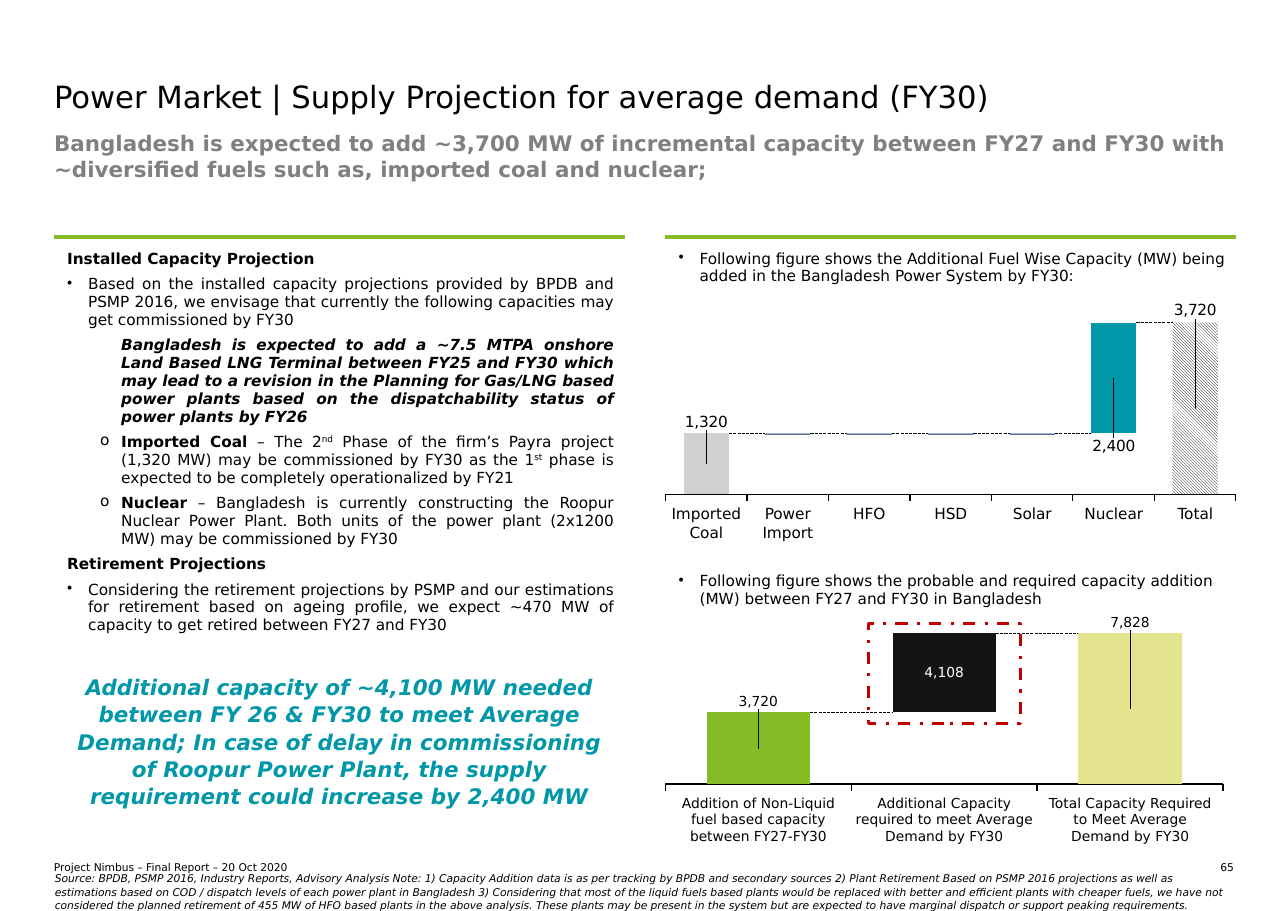
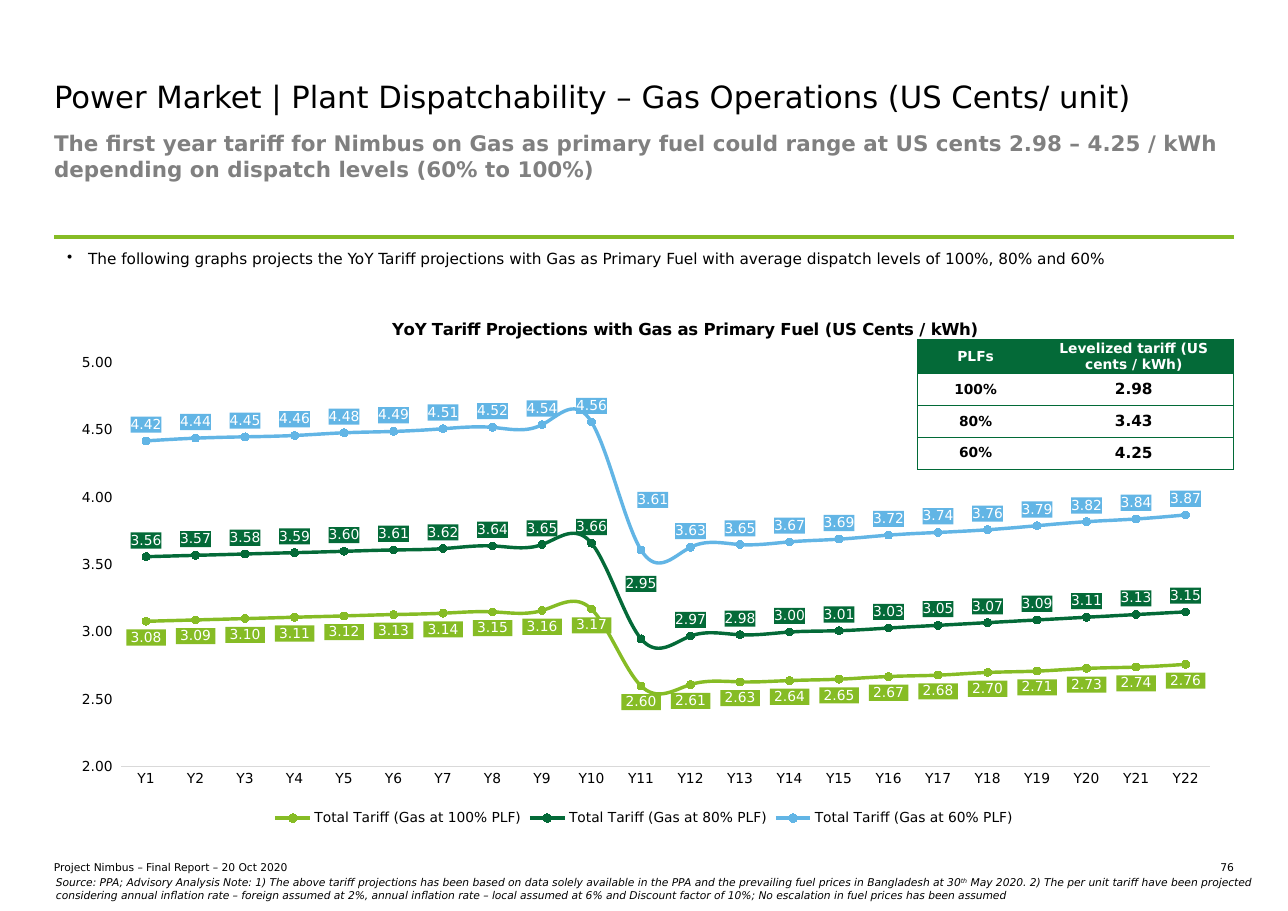
from dataclasses import dataclass
from typing import Any, NamedTuple, Optional

from lxml.etree import SubElement
from pptx import Presentation
from pptx.chart.data import CategoryChartData
from pptx.dml.color import RGBColor
from pptx.enum.chart import (XL_CHART_TYPE, XL_LABEL_POSITION, XL_LEGEND_POSITION,
                             XL_MARKER_STYLE, XL_TICK_LABEL_POSITION, XL_TICK_MARK)
from pptx.enum.dml import MSO_LINE, MSO_PATTERN
from pptx.enum.shapes import MSO_CONNECTOR, MSO_SHAPE
from pptx.enum.text import MSO_ANCHOR, MSO_AUTO_SIZE, PP_ALIGN
from pptx.oxml import parse_xml
from pptx.oxml.ns import nsdecls, qn
from pptx.util import Inches, Pt

# Shared look and grid (inches)
FONT = "DejaVu Sans"
BLACK, WHITE, GREY = "000000", "FFFFFF", "808080"
LIME, GREEN, SKY, TEAL = "86BC25", "046A38", "62B5E5", "0097A9"
LEFT, WIDTH, HALF, GUTTER = 0.49, 10.71, 5.18, 0.37
RIGHT = LEFT + HALF + GUTTER
PANEL_TOP, PANEL_HEIGHT = 2.15, 5.95
TARIFF_FORMAT = '_(* #,##0.00_);_(* \\(#,##0.00\\);_(* "-"??_);_(@_)'
CENTER, JUSTIFY = PP_ALIGN.CENTER, PP_ALIGN.JUSTIFY


class Run(NamedTuple):
    text: str
    bold: bool = False
    italic: bool = False
    raised: bool = False


@dataclass
class Para:
    runs: list[Run]
    align: PP_ALIGN = PP_ALIGN.LEFT
    margin: float = 0
    bullet: str = ""
    before: float = 0
    after: float = 0
    spacing: Optional[float] = None


@dataclass
class Waterfall:
    box: tuple[float, float, float, float]
    plot: tuple[float, float, float, float]
    series: list[tuple]
    top: int
    fills: dict[int, str]
    step_color: str
    labels: list[tuple[int, int, float, str]]  # series, point, vertical shift, colour
    names: list[tuple[str, float]]             # text and width
    links: list[int]
    size: int

    def pitch(self) -> float:
        return self.box[2] * self.plot[2] / len(self.names)

    def middle(self, column: int) -> float:
        return self.box[0] + self.box[2] * self.plot[0] + self.pitch() * (column + 0.5)

    def level(self, value: float) -> float:
        return self.box[1] + self.box[3] * (self.plot[1] + self.plot[3] * (1 - value / self.top))


def rgb(color: str) -> RGBColor:
    return RGBColor.from_string(color)


def apply(target: Any, **values: Any) -> None:
    for name, value in values.items():
        setattr(target, name, value)


def style_font(font: Any, size: float, color: str, bold: bool = False, italic: bool = False) -> None:
    apply(font, name=FONT, size=Pt(size), bold=bold, italic=italic)
    font.color.rgb = rgb(color)


def margins(target: Any, left: float, top: float, right: float, bottom: float) -> None:
    apply(target, margin_left=Inches(left), margin_top=Inches(top),
          margin_right=Inches(right), margin_bottom=Inches(bottom))


# Text
def write(frame: Any, paras: list[Para], size: float, color: str = BLACK) -> None:
    for index, para in enumerate(paras):
        line = frame.add_paragraph() if index else frame.paragraphs[0]
        props = line._p.get_or_add_pPr()
        props.set("marL", str(Inches(para.margin)))
        props.set("indent", str(Inches(-0.19 if para.bullet else 0)))
        if para.bullet:
            SubElement(props, qn("a:buChar")).set("char", para.bullet)
        else:
            SubElement(props, qn("a:buNone"))
        apply(line, alignment=para.align, space_before=Pt(para.before), space_after=Pt(para.after))
        if para.spacing:
            line.line_spacing = para.spacing
        for part in para.runs:
            run = line.add_run()
            run.text = part.text
            style_font(run.font, size, color, part.bold, part.italic)
            if part.raised:
                run._r.get_or_add_rPr().set("baseline", "30000")


def text_box(slide: Any, box: tuple, paras: list[Para], size: float, color: str = BLACK,
             inset: float = 0, anchor: MSO_ANCHOR = MSO_ANCHOR.TOP) -> None:
    frame = slide.shapes.add_textbox(*map(Inches, box)).text_frame
    apply(frame, word_wrap=True, auto_size=MSO_AUTO_SIZE.NONE, vertical_anchor=anchor)
    margins(frame, *[inset] * 4)
    write(frame, paras, size, color)


def framed_slide(deck: Any, title: str, message: str, page: str) -> Any:
    """Title, message, footer and page number."""
    slide = deck.slides.add_slide(deck.slide_layouts[5])
    head = slide.shapes.title
    apply(head, left=Inches(LEFT), top=Inches(0.71), width=Inches(WIDTH), height=Inches(0.47))
    apply(head.text_frame, word_wrap=True, auto_size=MSO_AUTO_SIZE.NONE, vertical_anchor=MSO_ANCHOR.TOP)
    margins(head.text_frame, 0, 0, 0, 0)
    write(head.text_frame, [Para([Run(title)])], 20)
    text_box(slide, (LEFT, 1.18, WIDTH, 0.57), [Para([Run(message, True)])], 14, GREY)
    text_box(slide, (LEFT, 7.81, 4.83, 0.12), [Para([Run("Project Nimbus – Final Report – 20 Oct 2020")])],
             7, anchor=MSO_ANCHOR.BOTTOM)
    text_box(slide, (10.75, 7.81, 0.45, 0.12), [Para([Run(page)], PP_ALIGN.RIGHT)], 7)
    return slide


# Tables
def borders(cell: Any, **edges: tuple[Optional[str], float]) -> None:
    props = cell._tc.get_or_add_tcPr()
    for side in "LRTB":
        color, width = edges.get(side, (None, 1))
        edge = SubElement(props, qn(f"a:ln{side}"))
        edge.set("w", str(Pt(width)))
        if color:
            SubElement(SubElement(edge, qn("a:solidFill")), qn("a:srgbClr")).set("val", color)
        else:
            SubElement(edge, qn("a:noFill"))


def plain_table(slide: Any, box: tuple, rows: int, columns: int) -> Any:
    table = slide.shapes.add_table(rows, columns, *map(Inches, box)).table
    apply(table, first_row=False, horz_banding=False)
    return table


def panel(slide: Any, left: float, width: float, paras: list[Para]) -> None:
    cell = plain_table(slide, (left, PANEL_TOP, width, PANEL_HEIGHT), 1, 1).cell(0, 0)
    borders(cell, T=(LIME, 3))
    cell.fill.background()
    margins(cell, 0.12, 0.12, 0.1, 0.05)
    write(cell.text_frame, paras, 10)


def tariff_table(slide: Any, rows: list[tuple[str, str]]) -> None:
    widths, heights = (1.05, 1.82), (0.31, 0.29, 0.29, 0.29)
    table = plain_table(slide, (8.33, 3.08, sum(widths), sum(heights)), len(rows), 2)
    for column, width in zip(table.columns, widths):
        column.width = Inches(width)
    edge = ("016A37", 0.75)
    for r, row in enumerate(rows):
        table.rows[r].height = Inches(heights[r])
        for c, text in enumerate(row):
            cell = table.cell(r, c)
            borders(cell, T=edge, B=edge, **{"LR"[c]: edge})
            cell.fill.solid()
            cell.fill.fore_color.rgb = rgb(WHITE if r else GREEN)
            margins(cell, 0.04, 0, 0.04, 0)
            cell.vertical_anchor = MSO_ANCHOR.MIDDLE
            write(cell.text_frame, [Para([Run(text, True)], CENTER)], 10 if r and c else 9,
                  BLACK if r else WHITE)


# Charts
def manual_layout(modes: str = "", **shares: float) -> Any:
    parts = "".join(f'<c:{m}Mode val="edge"/>' for m in "xy") if modes else ""
    target = '<c:layoutTarget val="inner"/>' if modes == "inner" else ""
    parts += "".join(f'<c:{name} val="{value}"/>' for name, value in shares.items())
    return parse_xml(f'<c:layout {nsdecls("c")}><c:manualLayout>{target}{parts}</c:manualLayout></c:layout>')


def set_plot(chart: Any, plot: tuple) -> None:
    area = chart._chartSpace.chart.plotArea
    for old in area.findall(qn("c:layout")):
        area.remove(old)
    area.insert(0, manual_layout("inner", **dict(zip("xywh", plot))))


def label_fill(color: str) -> Any:
    return parse_xml(f'<c:spPr {nsdecls("c", "a")}><a:solidFill><a:srgbClr val="{color}"/></a:solidFill></c:spPr>')


def leader_lines(series: Any, shown: bool) -> None:
    labels = series.data_labels._element
    flag = labels.find(qn("c:showLeaderLines"))
    if flag is None:
        flag = SubElement(labels, qn("c:showLeaderLines"))
    flag.set("val", str(int(shown)))


def place_label(point: Any, x: float, y: float, size: float, color: str, code: str,
                position: XL_LABEL_POSITION, fill: str = "") -> None:
    label = point.data_label
    style_font(label.font, size, color)
    label.position = position
    item = label._get_or_add_dLbl()
    if x or y:
        item.insert(1, manual_layout(x=x, y=y))
    properties = item.find(qn("c:txPr"))
    properties.addprevious(parse_xml(f'<c:numFmt {nsdecls("c")} formatCode="{code}" sourceLinked="0"/>'))
    if fill:
        properties.addprevious(label_fill(fill))


def new_chart(slide: Any, kind: XL_CHART_TYPE, box: tuple, names: list, series: list, size: float) -> Any:
    data = CategoryChartData()
    data.categories = names
    for name, values in series:
        data.add_series(name, values)
    chart = slide.shapes.add_chart(kind, *map(Inches, box), data).chart
    style_font(chart.font, size, BLACK)
    chart.has_legend = chart.has_title = False
    chart.value_axis.has_major_gridlines = False
    return chart


def paint(fill: Any, color: str) -> None:
    if color == "hatch":
        fill.patterned()
        fill.pattern = MSO_PATTERN.LIGHT_DOWNWARD_DIAGONAL
        fill.fore_color.rgb, fill.back_color.rgb = rgb(BLACK), rgb(WHITE)
    else:
        fill.solid()
        fill.fore_color.rgb = rgb(color)


def line(slide: Any, start: tuple, end: tuple, width: float, dash: Any = None) -> None:
    link = slide.shapes.add_connector(MSO_CONNECTOR.STRAIGHT, *map(Inches, start + end))
    link.line.color.rgb = rgb(BLACK)
    apply(link.line, width=Pt(width), dash_style=dash)
    SubElement(link._element.spPr, qn("a:effectLst"))


def rectangle(slide: Any, box: tuple) -> Any:
    shape = slide.shapes.add_shape(MSO_SHAPE.RECTANGLE, *map(Inches, box))
    shape.shadow.inherit = False
    return shape


def draw_waterfall(slide: Any, fall: Waterfall) -> None:
    bar = fall.pitch() / 1.8
    for i, value in enumerate(fall.links):
        y = fall.level(value)
        line(slide, (fall.middle(i) + bar / 2, y), (fall.middle(i + 1) - bar / 2, y), 0.25, MSO_LINE.LONG_DASH)
    names = [str(i + 1) for i in range(len(fall.names))]
    chart = new_chart(slide, XL_CHART_TYPE.COLUMN_STACKED, fall.box, names, fall.series, fall.size)
    set_plot(chart, fall.plot)
    apply(chart.plots[0], gap_width=80, overlap=100, vary_by_categories=False)
    apply(chart.value_axis, visible=False, minimum_scale=0, maximum_scale=fall.top)
    apply(chart.category_axis, tick_label_position=XL_TICK_LABEL_POSITION.NONE,
          major_tick_mark=XL_TICK_MARK.OUTSIDE)
    chart.category_axis.format.line.color.rgb = rgb(BLACK)
    chart.category_axis.format.line.width = Pt(0.75)
    base, step = chart.plots[0].series
    base.format.fill.background()
    paint(step.format.fill, fall.step_color)
    for index, color in fall.fills.items():
        paint(base.points[index].format.fill, color)
    for series in (base, step):
        series.data_labels.show_value = False
        leader_lines(series, True)
    for which, index, shift, color in fall.labels:
        place_label((base, step)[which].points[index], 0, shift, fall.size, color, "#,##0",
                    XL_LABEL_POSITION.CENTER)
    for i, (name, width) in enumerate(fall.names):
        text_box(slide, (fall.middle(i) - width / 2, fall.box[1] + fall.box[3], width, 0.45),
                 [Para([Run(name)], CENTER)], fall.size)


def draw_tariffs(slide: Any, title: str, series: list[tuple[str, list, str]]) -> None:
    years = [f"Y{i}" for i in range(1, 23)]
    chart = new_chart(slide, XL_CHART_TYPE.LINE_MARKERS, (LEFT, 2.72, WIDTH, 4.82), years,
                      [(name, values) for name, values, _ in series], 9)
    set_plot(chart, (0.057, 0.119, 0.923, 0.761))
    chart.chart_title.text_frame.text = title
    style_font(chart.chart_title.text_frame.paragraphs[0].runs[0].font, 10.8, BLACK, True)
    heading = chart.chart_title._element
    for old in heading.findall(qn("c:layout")):
        heading.remove(old)
    heading.find(qn("c:tx")).addnext(manual_layout("edge", x=0.284, y=0.03))
    chart.has_legend = True
    apply(chart.legend, position=XL_LEGEND_POSITION.BOTTOM, include_in_layout=False)
    style_font(chart.legend.font, 9, BLACK)
    apply(chart.value_axis, minimum_scale=2, maximum_scale=5, major_unit=0.5)
    apply(chart.value_axis.tick_labels, number_format=TARIFF_FORMAT, number_format_is_linked=False)
    for axis in (chart.value_axis, chart.category_axis):
        axis.major_tick_mark = XL_TICK_MARK.NONE
        style_font(axis.tick_labels.font, 9, BLACK)
    chart.value_axis.format.line.fill.background()
    chart.category_axis.format.line.color.rgb = rgb("D9D9D9")
    for i, (curve, (_, _, color)) in enumerate(zip(chart.plots[0].series, series)):
        curve.smooth = True
        curve.format.line.color.rgb = rgb(color)
        curve.format.line.width = Pt(2.25)
        apply(curve.marker, style=XL_MARKER_STYLE.CIRCLE, size=5)
        paint(curve.marker.format.fill, color)
        curve.marker.format.line.color.rgb = rgb(color)
        side = XL_LABEL_POSITION.ABOVE if i else XL_LABEL_POSITION.BELOW
        apply(curve.data_labels, show_value=True, position=side, number_format_is_linked=False,
              number_format="#,##0.00" if i else TARIFF_FORMAT)
        style_font(curve.data_labels.font, 9, WHITE)
        curve.data_labels._element.find(qn("c:txPr")).addprevious(label_fill(color))
        leader_lines(curve, False)
        if i:  # the drop in year 11 needs clear labels
            x, y = ((0, -0.073), (0.01, -0.064))[i - 1]
            place_label(curve.points[10], x, y, 9, WHITE, "#,##0.00", side, color)


def supply_slide(deck: Any) -> None:
    slide = framed_slide(
        deck, "Power Market | Supply Projection for average demand (FY30)",
        "Bangladesh is expected to add ~3,700 MW of incremental capacity between FY27 and FY30 with "
        "~diversified fuels such as, imported coal and nuclear;", "65")
    panel(slide, RIGHT, HALF, [
        Para([Run("Following figure shows the Additional Fuel Wise Capacity (MW) being added in the "
                  "Bangladesh Power System by FY30:")], margin=0.19, bullet="•", after=5),
        Para([Run("Following figure shows the probable and required capacity addition (MW) between FY27 "
                  "and FY30 in Bangladesh")], margin=0.19, bullet="•", before=182.5, after=5)])
    top = dict(align=JUSTIFY, after=5)
    item, sub = dict(top, margin=0.19, bullet="•"), dict(top, margin=0.49, bullet="o")
    panel(slide, LEFT, HALF, [
        Para([Run("Installed Capacity Projection", True)], **top),
        Para([Run("Based on the installed capacity projections provided by BPDB and PSMP 2016, we envisage "
                  "that currently the following capacities may get commissioned by FY30")], **item),
        Para([Run("Bangladesh is expected to add a ~7.5 MTPA onshore Land Based LNG Terminal between FY25 and "
                  "FY30 which may lead to a revision in the Planning for Gas/LNG based power plants based on "
                  "the dispatchability status of power plants by FY26", True, True)], margin=0.49, **top),
        Para([Run("Imported Coal ", True), Run("– The 2"), Run("nd", raised=True),
              Run(" Phase of the firm’s Payra project (1,320 MW) may be commissioned by FY30 as the 1"),
              Run("st", raised=True), Run(" phase is expected to be completely operationalized by FY21")], **sub),
        Para([Run("Nuclear", True), Run(" – Bangladesh is currently constructing the Roopur Nuclear Power Plant. "
              "Both units of the power plant (2x1200 MW) may be commissioned by FY30")], **sub),
        Para([Run("Retirement Projections", True)], **top),
        Para([Run("Considering the retirement projections by PSMP and our estimations for retirement based on "
                  "ageing profile, we expect ~470 MW of capacity to get retired between FY27 and FY30")], **item)])

    # Fuel-wise additions
    fuels = Waterfall(
        (5.95, 2.71, 5.36, 1.87), (0.017, 0.117, 0.966, 0.835),
        [("Series 1", [1320, None, None, None, None, 1320, 3720]),
         ("Series 2", [None] * 5 + [2400, None])],
        3720, {0: "D0D0CE", 6: "hatch"}, TEAL,
        [(0, 0, -0.204, BLACK), (0, 6, -0.476, BLACK), (1, 5, 0.33, BLACK)],
        [(name, 0.7) for name in ("Imported Coal", "Power Import", "HFO", "HSD", "Solar", "Nuclear", "Total")],
        [1320] * 5 + [3720], 10)
    draw_waterfall(slide, fuels)
    bar = fuels.pitch() / 1.8
    for column in range(1, 5):
        flat = rectangle(slide, (fuels.middle(column) - bar / 2, fuels.level(1320), bar, 0.01))
        paint(flat.fill, "012169")
        flat.line.fill.background()
    line(slide, (fuels.middle(5), 3.96), (fuels.middle(5), 3.85), 0.5)

    # Required additions
    draw_waterfall(slide, Waterfall(
        (5.95, 5.55, 5.24, 1.66), (0.017, 0.121, 0.966, 0.824),
        [("Series 1", [3720, 3720, 7828]), ("Series 2", [None, 4108, None])],
        7828, {0: LIME, 2: "E3E48D"}, "141414",
        [(0, 0, -0.255, BLACK), (0, 2, -0.47, BLACK), (1, 1, 0, WHITE)],
        [("Addition of Non-Liquid fuel based capacity between FY27-FY30", 1.42),
         ("Additional Capacity required to meet Average Demand by FY30", 1.63),
         ("Total Capacity Required to Meet Average Demand by FY30", 1.51)],
        [3720, 7828], 9))
    focus = rectangle(slide, (7.88, 5.66, 1.38, 0.91))
    focus.fill.background()
    focus.line.color.rgb = rgb("C00000")
    apply(focus.line, width=Pt(2), dash_style=MSO_LINE.DASH_DOT)

    text_box(slide, (0.59, 6.25, 4.98, 0.95), [Para([Run(
        "Additional capacity of ~4,100 MW needed between FY 26 & FY30 to meet Average Demand; In case of delay "
        "in commissioning of Roopur Power Plant, the supply requirement could increase by 2,400 MW", True, True)],
        CENTER, after=5, spacing=1.06)], 14, TEAL, 0.1, MSO_ANCHOR.MIDDLE)
    text_box(slide, (0.4, 7.97, 10.87, 0.25), [Para([Run(
        "Source: BPDB, PSMP 2016, Industry Reports, Advisory Analysis Note: 1) Capacity Addition data is as per "
        "tracking by BPDB and secondary sources 2) Plant Retirement Based on PSMP 2016 projections as well as "
        "estimations based on COD / dispatch levels of each power plant in Bangladesh 3) Considering that most of "
        "the liquid fuels based plants would be replaced with better and efficient plants with cheaper fuels, we "
        "have not considered the planned retirement of 455 MW of HFO based plants in the above analysis. These "
        "plants may be present in the system but are expected to have marginal dispatch or support peaking "
        "requirements.", italic=True)], spacing=1.06)], 7, BLACK, 0.1, MSO_ANCHOR.MIDDLE)


def tariff_slide(deck: Any) -> None:
    slide = framed_slide(
        deck, "Power Market | Plant Dispatchability – Gas Operations (US Cents/ unit)",
        "The first year tariff for Nimbus on Gas as primary fuel could range at US cents 2.98 – 4.25 / kWh "
        "depending on dispatch levels (60% to 100%)", "76")
    panel(slide, LEFT, WIDTH, [Para([Run(
        "The following graphs projects the YoY Tariff projections with Gas as Primary Fuel with average dispatch "
        "levels of 100%, 80% and 60%")], JUSTIFY, 0.19, "•", after=5)])
    draw_tariffs(slide, "YoY Tariff Projections with Gas as Primary Fuel (US Cents / kWh)", [
        ("Total Tariff (Gas at 100% PLF)",
         [3.08, 3.09, 3.1, 3.11, 3.12, 3.13, 3.14, 3.15, 3.16, 3.17, 2.6, 2.61, 2.63, 2.64, 2.65, 2.67, 2.68,
          2.7, 2.71, 2.73, 2.74, 2.76], LIME),
        ("Total Tariff (Gas at 80% PLF)",
         [3.56, 3.57, 3.58, 3.59, 3.6, 3.61, 3.62, 3.64, 3.65, 3.66, 2.95, 2.97, 2.98, 3, 3.01, 3.03, 3.05,
          3.07, 3.09, 3.11, 3.13, 3.15], GREEN),
        ("Total Tariff (Gas at 60% PLF)",
         [4.42, 4.44, 4.45, 4.46, 4.48, 4.49, 4.51, 4.52, 4.54, 4.56, 3.61, 3.63, 3.65, 3.67, 3.69, 3.72, 3.74,
          3.76, 3.79, 3.82, 3.84, 3.87], SKY)])
    tariff_table(slide, [("PLFs", "Levelized tariff (US cents / kWh)"),
                         ("100%", "2.98"), ("80%", "3.43"), ("60%", "4.25")])
    text_box(slide, (0.41, 7.94, 11.06, 0.25), [Para([
        Run("Source: PPA; Advisory Analysis Note: 1) The above tariff projections has been based on data solely "
            "available in the PPA and the prevailing fuel prices in Bangladesh at 30", italic=True),
        Run("th", italic=True, raised=True),
        Run(" May 2020. 2) The per unit tariff have been projected considering annual inflation rate – foreign "
            "assumed at 2%, annual inflation rate – local assumed at 6% and Discount factor of 10%; No escalation "
            "in fuel prices has been assumed", italic=True)], spacing=1.06)], 7, BLACK, 0.1, MSO_ANCHOR.MIDDLE)


def main() -> None:
    deck = Presentation()
    apply(deck, slide_width=Inches(11.69), slide_height=Inches(8.27))
    supply_slide(deck)
    tariff_slide(deck)
    deck.save("out.pptx")


if __name__ == "__main__":
    main()
